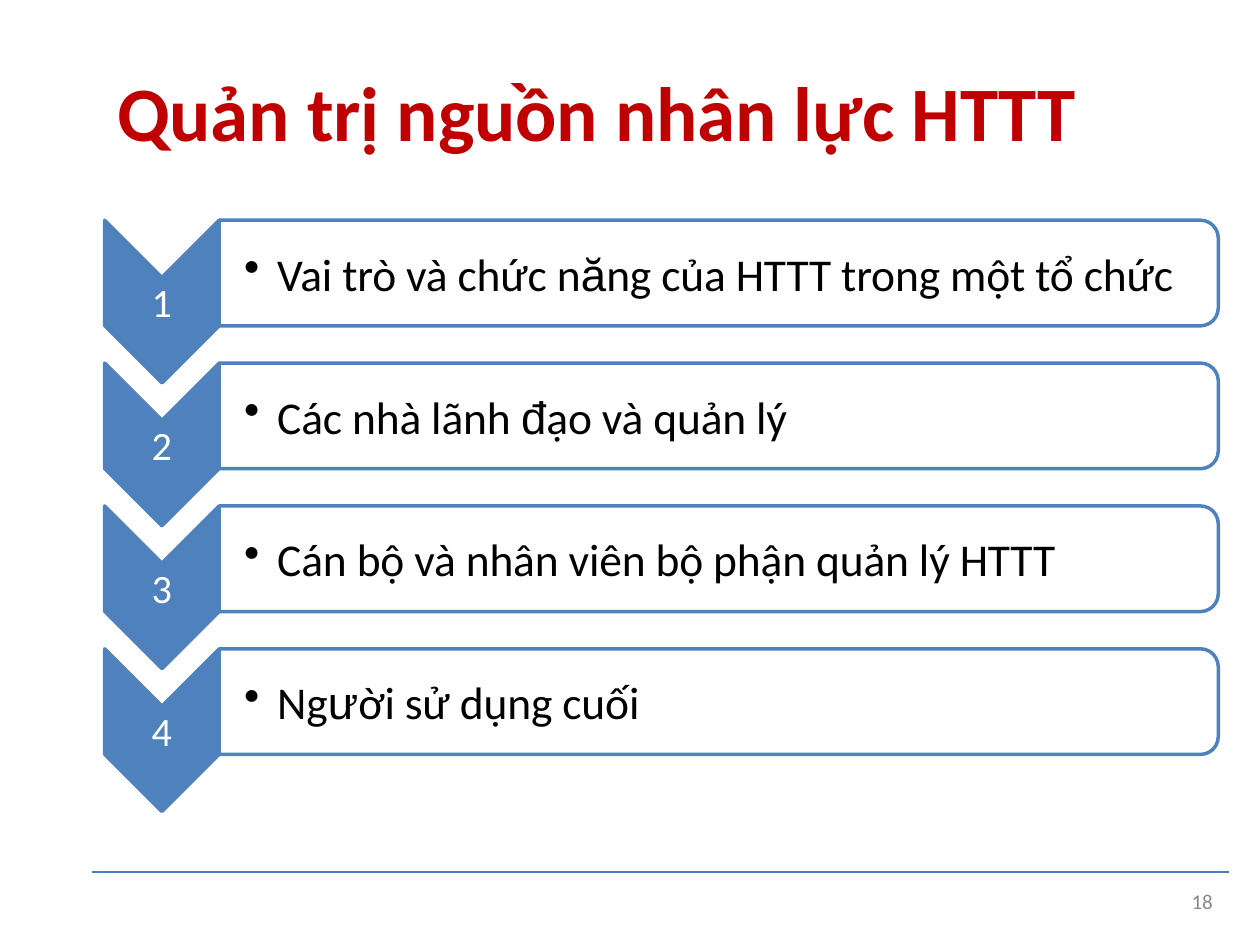
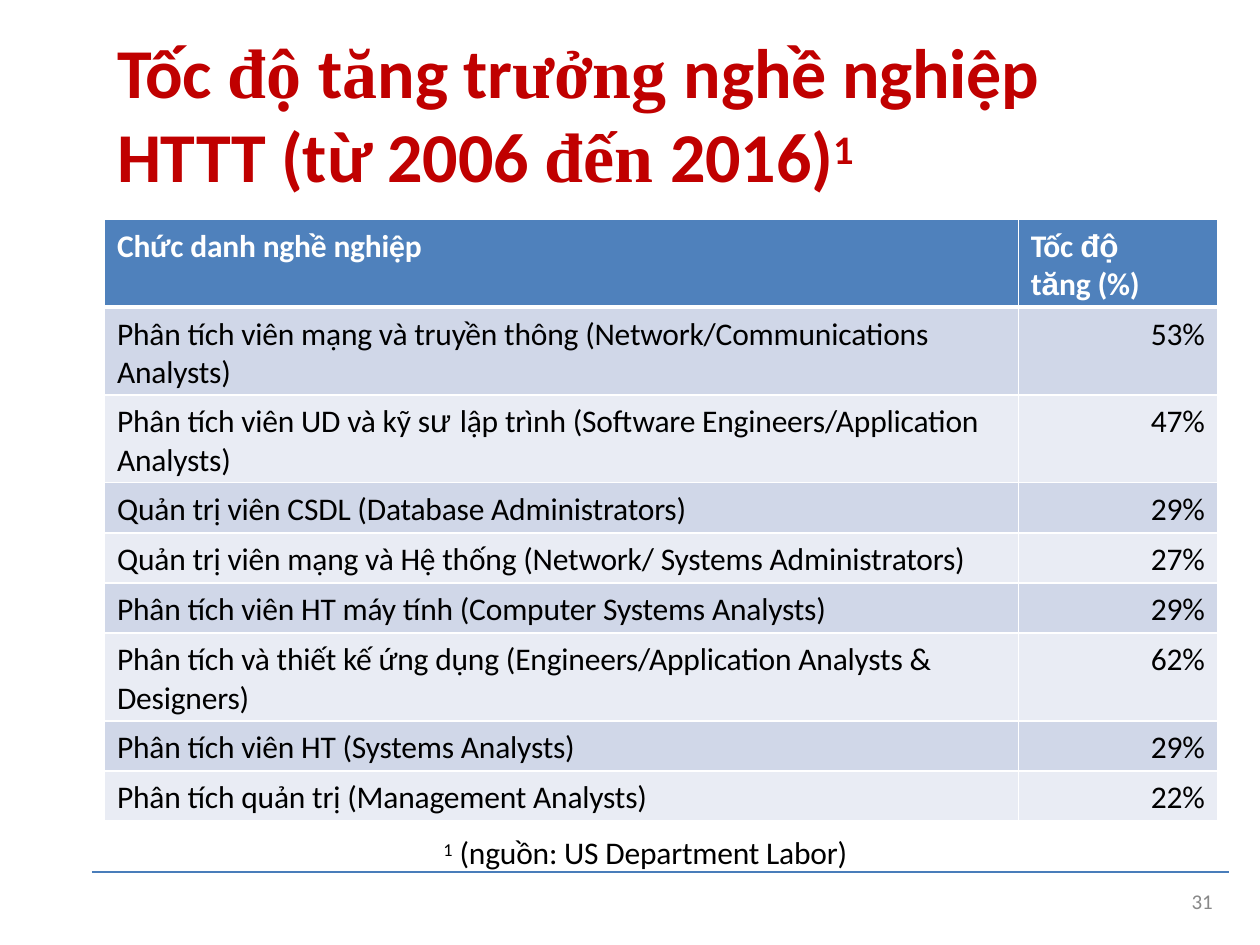
import math

import lxml.etree
import pptx
import pptx.dml.color
import pptx.enum.shapes
import pptx.enum.text
import pptx.oxml
import pptx.oxml.ns
import pptx.util

Cm = pptx.util.Cm
Pt = pptx.util.Pt
qn = pptx.oxml.ns.qn
ALIGN = pptx.enum.text.PP_ALIGN
ANCHOR = pptx.enum.text.MSO_ANCHOR

COLORS = {
    "title": "C00000",
    "accent": "4F81BC",
    "rule": "497DBA",
    "number": "888888",
    "text": "000000",
    "white": "FFFFFF",
    "band_dark": "D0D7E8",
    "band_light": "E9ECF4",
}
FONT = "Calibri"
TITLE_ONLY = 5

HUMAN_RESOURCES = [
    "Vai trò và chức n|ă|ng của HTTT trong một tổ chức",
    "Các nhà lãnh |đ|ạo và quản lý",
    "Cán bộ và nhân viên bộ phận quản lý HTTT",
    "Ng|ư|ời sử dụng cuối",
]
GROWTH_HEADER = ("Chức danh nghề nghiệp", "Tốc |độ| t|ă|ng (%)")
GROWTH_ROWS = [
    ("Phân tích viên mạng và truyền thông (Network/Communications Analysts)", "53%"),
    ("Phân tích viên UD và kỹ s|ư |lập trình (Software Engineers/Application Analysts)", "47%"),
    ("Quản trị viên CSDL (Database Administrators)", "29%"),
    ("Quản trị viên mạng và Hệ thống (Network/ Systems Administrators)", "27%"),
    ("Phân tích viên HT máy tính (Computer Systems Analysts)", "29%"),
    ("Phân tích và thiết kế ứng dụng (Engineers/Application Analysts & Designers)", "62%"),
    ("Phân tích viên HT (Systems Analysts)", "29%"),
    ("Phân tích quản trị (Management Analysts)", "22%"),
]
TALL_ROWS = {0, 1, 2, 6}


def rgb(name):
    return pptx.dml.color.RGBColor.from_string(COLORS[name])


def style_paragraph(paragraph, size, color, bold=False, align=ALIGN.LEFT):
    paragraph.alignment = align
    paragraph.font.name = FONT
    paragraph.font.size = Pt(size)
    paragraph.font.bold = bold
    paragraph.font.color.rgb = rgb(color)


def write_text(paragraph, text, other_font="Arial"):
    for index, part in enumerate(text.split("|")):
        run = paragraph.add_run()
        run.text = part
        run.font._element.set("spc", "-10")
        if index % 2:
            run.font.name = other_font


def write_superscript(paragraph, text):
    run = paragraph.add_run()
    run.text = text
    run.font._element.set("baseline", "25000")


def prepare_frame(text_frame, left=0, anchor=ANCHOR.TOP):
    text_frame.word_wrap = True
    text_frame.auto_size = pptx.enum.text.MSO_AUTO_SIZE.NONE
    text_frame.vertical_anchor = anchor
    text_frame.margin_left = Cm(left)
    text_frame.margin_top = text_frame.margin_right = text_frame.margin_bottom = 0
    return text_frame.paragraphs[0]


def add_text(slide, left, top, width, height):
    box = slide.shapes.add_textbox(Cm(left), Cm(top), Cm(width), Cm(height))
    return prepare_frame(box.text_frame)


def add_title(slide, top, height, size, text):
    title = slide.shapes.title
    title.left, title.top = Cm(2.36), Cm(top)
    title.width, title.height = Cm(20.4), Cm(height)
    paragraph = prepare_frame(title.text_frame)
    style_paragraph(paragraph, size, "title", bold=True)
    write_text(paragraph, text, "Times New Roman")
    return paragraph


def add_footer(slide, number):
    rule = slide.shapes.add_connector(
        pptx.enum.shapes.MSO_CONNECTOR.STRAIGHT, Cm(1.85), Cm(17.58), Cm(24.77), Cm(17.58))
    rule.line.color.rgb = rgb("rule")
    rule.line.width = Pt(0.78)
    lxml.etree.SubElement(rule._element.spPr, qn("a:effectLst"))
    paragraph = add_text(slide, 23.4, 17.92, 1.05, 0.55)
    style_paragraph(paragraph, 12, "number", align=ALIGN.RIGHT)
    paragraph.add_run().text = str(number)


def add_outline(slide, points, fill):
    corners = [(Cm(x), Cm(y)) for x, y in points]
    builder = slide.shapes.build_freeform(*corners[0], scale=1.0)
    builder.add_line_segments(corners[1:], close=True)
    shape = builder.convert_to_shape()
    shape.shadow.inherit = False
    shape.fill.solid()
    shape.fill.fore_color.rgb = rgb(fill)
    shape.line.color.rgb = rgb("accent")
    shape.line.width = Pt(1.98)
    return shape


def add_chevron(slide, left, top, width, height, number):
    notch = width / 2
    middle, right, bottom = left + notch, left + width, top + height
    points = [(left, top), (middle, top + notch), (right, top),
              (right, bottom - notch), (middle, bottom), (left, bottom - notch)]
    chevron = add_outline(slide, points, "accent")
    paragraph = prepare_frame(chevron.text_frame, anchor=ANCHOR.MIDDLE)
    style_paragraph(paragraph, 23, "white", align=ALIGN.CENTER)
    write_text(paragraph, str(number))


def add_panel(slide, left, top, width, height, text):
    radius, steps = 0.36, 6
    right, bottom = left + width, top + height
    points = [(left, bottom), (left, top)]
    for center_y, start in ((top + radius, -90), (bottom - radius, 0)):
        for step in range(steps + 1):
            angle = math.radians(start + 90 * step / steps)
            points.append((right - radius + radius * math.cos(angle),
                           center_y + radius * math.sin(angle)))
    panel = add_outline(slide, points, "white")
    color = panel._element.spPr.find(qn("a:solidFill"))[0]
    lxml.etree.SubElement(color, qn("a:alpha"), val="90000")
    paragraph = prepare_frame(panel.text_frame, 0.5, ANCHOR.MIDDLE)
    properties = paragraph._p.get_or_add_pPr()
    properties.set("marL", str(Cm(0.67)))
    properties.set("indent", str(-Cm(0.67)))
    lxml.etree.SubElement(properties, qn("a:buChar"), char="•")
    style_paragraph(paragraph, 26, "text")
    write_text(paragraph, text)


def add_chevron_list(slide, left, top, width, items):
    chevron_width, chevron_height, panel_height, pitch = 2.31, 3.28, 2.13, 2.88
    for index, text in enumerate(items):
        row_top = top + index * pitch
        add_chevron(slide, left, row_top, chevron_width, chevron_height, index + 1)
        add_panel(slide, left + chevron_width, row_top, width - chevron_width, panel_height, text)


def set_borders(cell, widths):
    properties = cell._tc.get_or_add_tcPr()
    for side, width in widths.items():
        line = lxml.etree.SubElement(properties, qn(f"a:ln{side}"), w=str(Pt(width)))
        fill = lxml.etree.SubElement(line, qn("a:solidFill"))
        lxml.etree.SubElement(fill, qn("a:srgbClr"), val=COLORS["white"])


def add_growth_table(slide, left, top, column_widths):
    rows = [GROWTH_HEADER] + GROWTH_ROWS
    heights = [1.77 if index in TALL_ROWS else 1.01 for index in range(len(rows))]
    table = slide.shapes.add_table(
        len(rows), len(column_widths), Cm(left), Cm(top),
        Cm(sum(column_widths)), Cm(sum(heights))).table
    for column, width in zip(table.columns, column_widths):
        column.width = Cm(width)
    for row_index, values in enumerate(rows):
        table.rows[row_index].height = Cm(heights[row_index])
        header = row_index == 0
        band = "accent" if header else ("band_light", "band_dark")[row_index % 2]
        for column_index, text in enumerate(values):
            cell = table.cell(row_index, column_index)
            set_borders(cell, {"L": 1, "R": 1, "T": 3 if row_index == 1 else 1,
                               "B": 3 if header else 1})
            cell.fill.solid()
            cell.fill.fore_color.rgb = rgb(band)
            cell.margin_left, cell.margin_top, cell.margin_bottom = Cm(0.25), Cm(0.16), 0
            cell.margin_right = Cm(1 if header else 0.25)
            paragraph = cell.text_frame.paragraphs[0]
            numeric = column_index == 1 and not header
            style_paragraph(paragraph, 18, "white" if header else "text", bold=header,
                            align=ALIGN.RIGHT if numeric else ALIGN.LEFT)
            write_text(paragraph, text)


def add_source_note(slide, left, top, width, height):
    paragraph = add_text(slide, left, top, width, height)
    style_paragraph(paragraph, 18, "text")
    write_superscript(paragraph, "1")
    write_text(paragraph, " (nguồn: US Department Labor)")


def build_resources_slide(presentation):
    slide = presentation.slides.add_slide(presentation.slide_layouts[TITLE_ONLY])
    add_title(slide, 1.3, 1.93, 44, "Quản trị nguồn nhân lực HTTT")
    add_chevron_list(slide, 2.11, 4.44, 22.45, HUMAN_RESOURCES)
    add_footer(slide, 18)


def build_growth_slide(presentation):
    slide = presentation.slides.add_slide(presentation.slide_layouts[TITLE_ONLY])
    title = add_title(slide, 0.57, 3.45, 40,
                      "Tốc |độ |t|ă|ng tr|ưởng |nghề nghiệp HTTT (từ 2006 |đến |2016)")
    write_superscript(title, "1")
    add_growth_table(slide, 2.11, 4.42, [18.42, 4.01])
    add_source_note(slide, 8.94, 16.8, 8.6, 0.84)
    add_footer(slide, 31)


def main():
    presentation = pptx.Presentation()
    presentation.slide_width = Cm(25.4)
    presentation.slide_height = Cm(19.05)
    build_resources_slide(presentation)
    build_growth_slide(presentation)
    presentation.save("out.pptx")


if __name__ == "__main__":
    main()
